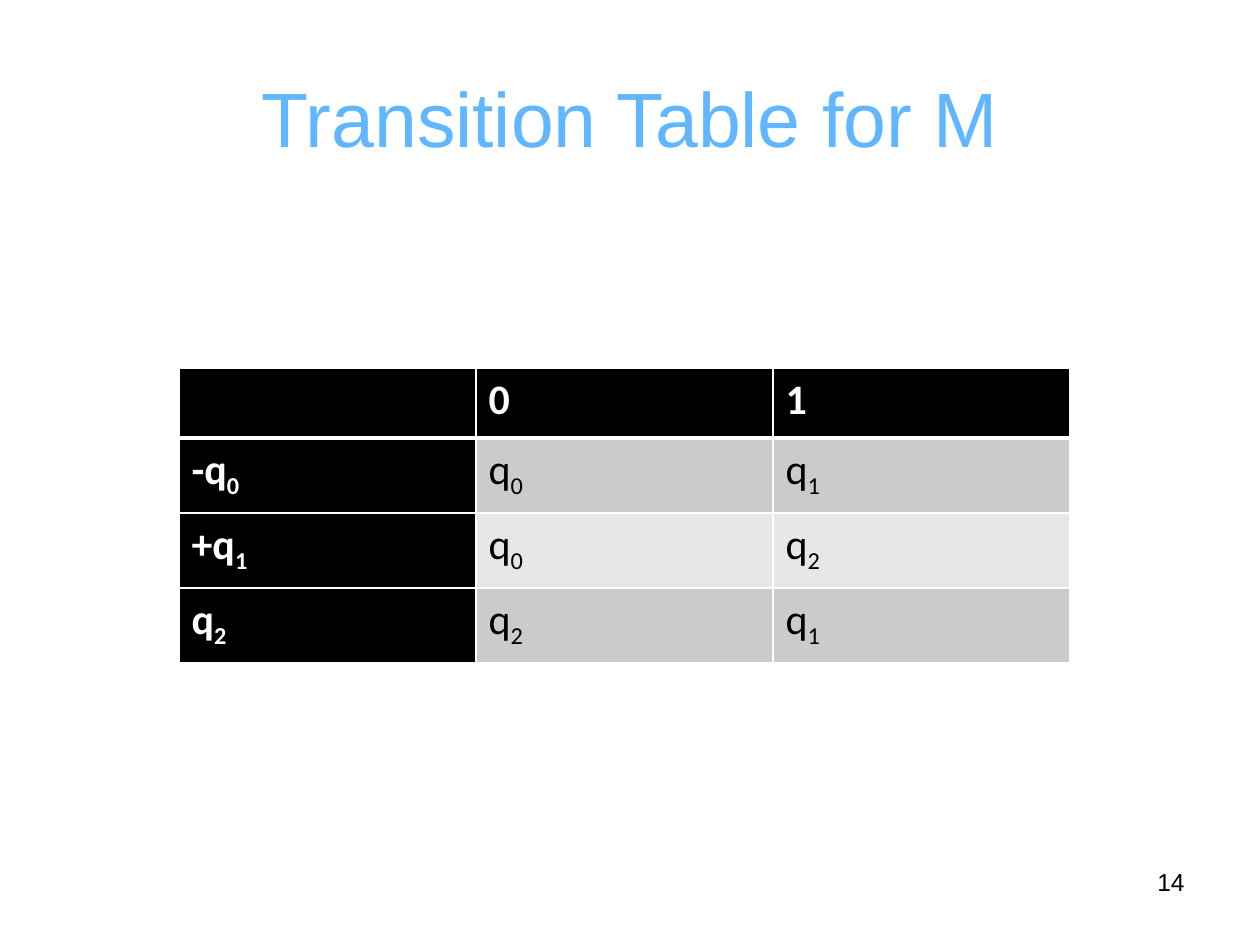
"""Build the slide with the transition table for machine M."""
import dataclasses

import lxml.etree
import pptx
import pptx.dml.color
import pptx.enum.text
import pptx.oxml.ns
import pptx.util

EMU_PER_PX = 914400 / 126
HEADER = ["", "0", "1"]
STATES = [["-q_0", "q_0", "q_1"], ["+q_1", "q_0", "q_2"], ["q_2", "q_2", "q_1"]]


@dataclasses.dataclass(frozen=True)
class Theme:
    """Colours, fonts and type sizes of the slide."""
    title: str = "60B6FF"
    dark: str = "000000"
    light: str = "FFFFFF"
    bands: tuple = ("CBCBCB", "E7E7E7")
    text_font: str = "Arial"
    table_font: str = "Calibri"
    title_size: int = 44
    table_size: int = 24
    number_size: int = 14
    rule: float = 0.96
    header_rule: float = 3


THEME = Theme()


def px(length):
    """Turn pixels into EMU."""
    return pptx.util.Emu(round(length * EMU_PER_PX))


def place(shape, box):
    """Move a shape to a box of left, top, width and height."""
    shape.left, shape.top, shape.width, shape.height = map(px, box)


def write(para, text, *, size, font, color, bold=False, align=None):
    """Write text into a paragraph, with the part after an underscore as subscript."""
    para.alignment = align
    for index, part in enumerate(text.split("_")):
        span = para.add_run()
        span.text = part
        span.font.size = pptx.util.Pt(size)
        span.font.name = font
        span.font.bold = bold
        span.font.color.rgb = pptx.dml.color.RGBColor.from_string(color)
        if index:
            span._r.get_or_add_rPr().set("baseline", "-25000")


def add_border(cell, side, width):
    """Add a light border to one side of a cell."""
    qn = pptx.oxml.ns.qn
    line = lxml.etree.SubElement(cell._tc.get_or_add_tcPr(), qn(f"a:ln{side}"),
                                 w=str(pptx.util.Pt(width)))
    fill = lxml.etree.SubElement(line, qn("a:solidFill"))
    lxml.etree.SubElement(fill, qn("a:srgbClr"), val=THEME.light)


def add_title(page, box):
    """Fill the title placeholder."""
    title = page.shapes.title
    place(title, box)
    title.text_frame.vertical_anchor = pptx.enum.text.MSO_ANCHOR.MIDDLE
    write(title.text_frame.paragraphs[0], "Transition Table for M", size=THEME.title_size,
          font=THEME.text_font, color=THEME.title, align=pptx.enum.text.PP_ALIGN.CENTER)


def fill_cell(cell, text, row, column):
    """Write, fill and border one table cell."""
    is_heading = row == 0 or column == 0
    if text:
        write(cell.text_frame.paragraphs[0], text, size=THEME.table_size,
              font=THEME.table_font, bold=is_heading,
              color=THEME.light if is_heading else THEME.dark)
    widths = {"L": THEME.rule, "R": THEME.rule,
              "T": THEME.header_rule if row == 1 else THEME.rule,
              "B": THEME.header_rule if row == 0 else THEME.rule}
    for side, width in widths.items():
        add_border(cell, side, width)
    color = THEME.dark if is_heading else THEME.bands[(row - 1) % 2]
    cell.fill.solid()
    cell.fill.fore_color.rgb = pptx.dml.color.RGBColor.from_string(color)


def add_transitions(page, box, header_height):
    """Add the transition table with equal columns and equal state rows."""
    rows = [HEADER] + STATES
    table = page.shapes.add_table(len(rows), len(HEADER), *map(px, box)).table
    for column in table.columns:
        column.width = px(box[2] / len(HEADER))
    for index, row in enumerate(table.rows):
        row.height = px((box[3] - header_height) / len(STATES) if index else header_height)
    for row, texts in enumerate(rows):
        for column, text in enumerate(texts):
            fill_cell(table.cell(row, column), text, row, column)


def add_number(page, box):
    """Add the page number."""
    frame = page.shapes.add_textbox(*map(px, box)).text_frame
    frame.word_wrap = True
    write(frame.paragraphs[0], "14", size=THEME.number_size, font=THEME.text_font,
          color=THEME.dark, align=pptx.enum.text.PP_ALIGN.RIGHT)


def main():
    """Build and save the deck."""
    deck = pptx.Presentation()
    deck.slide_width, deck.slide_height = px(1260), px(945)
    page = deck.slides.add_slide(deck.slide_layouts[5])
    add_title(page, (63, 38, 1134, 158))
    add_transitions(page, (179, 368, 891, 295), header_height=70)
    add_number(page, (903, 861, 294, 66))
    deck.save("out.pptx")


if __name__ == "__main__":
    main()
